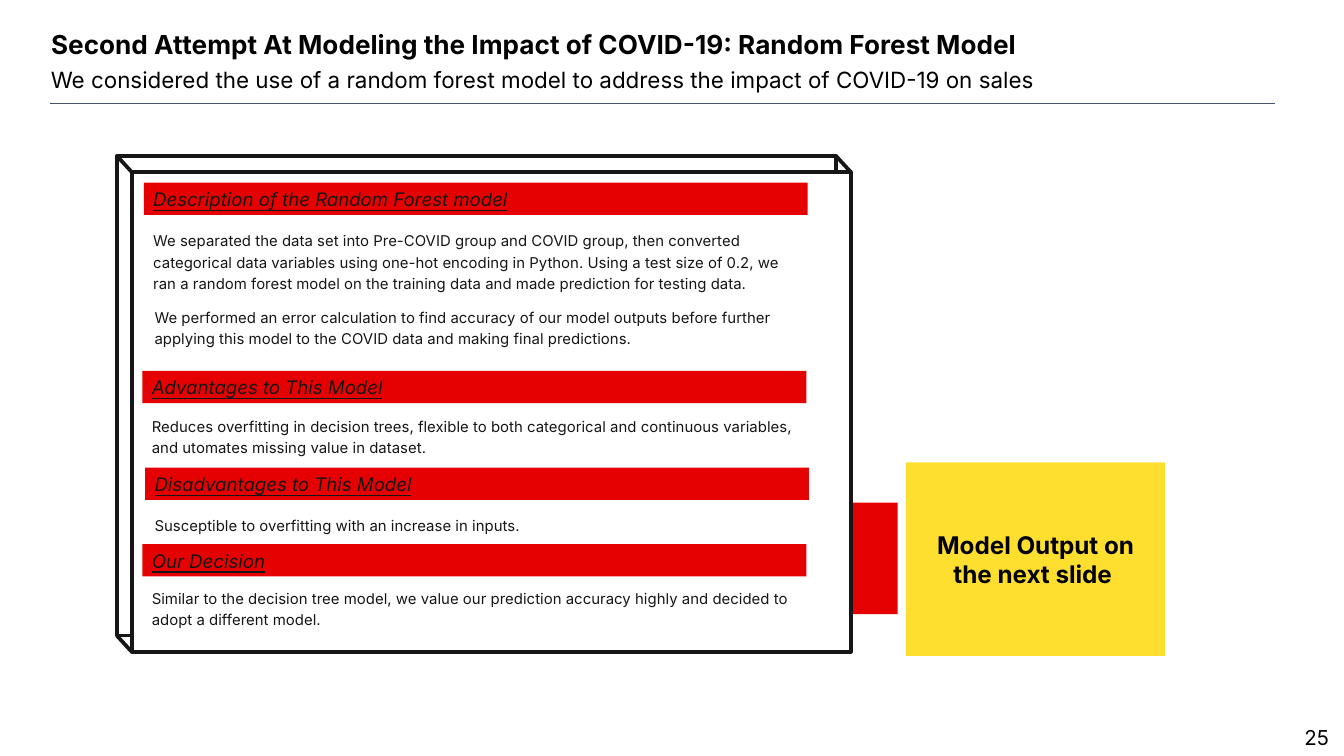
import dataclasses

import pptx
import pptx.dml.color
import pptx.enum.shapes
import pptx.enum.text
import pptx.oxml
import pptx.util

Inches = pptx.util.Inches
Pt = pptx.util.Pt
Shape = pptx.enum.shapes.MSO_SHAPE
Align = pptx.enum.text.PP_ALIGN
Anchor = pptx.enum.text.MSO_ANCHOR


@dataclasses.dataclass(frozen=True)
class Theme:
    font: str = "Inter"
    black: str = "000000"
    ink: str = "171616"
    white: str = "FFFFFF"
    red: str = "E50102"
    yellow: str = "FEDF30"
    rule: str = "44546A"
    title_size: float = 14
    callout_size: float = 13
    subtitle_size: float = 12
    number_size: float = 11
    heading_size: float = 10
    body_size: float = 8
    panel_line: float = 2
    rule_line: float = 0.75


THEME = Theme()
PAGE_WIDTH = 10
PAGE_HEIGHT = PAGE_WIDTH * 9 / 16
WIDE_INSETS = (0.1, 0.1)
SLIM_INSETS = (0.07, 0.04)
COLUMN_WIDTH = 4.94
BAR_HEIGHT = 0.24
PANEL_LEFT, PANEL_TOP = 0.87, 1.16
PANEL_WIDTH, PANEL_HEIGHT = 5.35, 3.57
DEPTH_X, DEPTH_Y = 0.11, 0.12

SECTIONS = [
    (1.07, 1.36, "Description of the Random Forest model", [
        (1.07, 1.66, 0.53, "We separated the data set into Pre-COVID group and COVID group, then converted "
         "categorical data variables using one-hot encoding in Python. Using a test size of 0.2, we "
         "ran a random forest model on the training data and made prediction for testing data."),
        (1.08, 2.23, 0.37, "We performed an error calculation to find accuracy of our model outputs before "
         "further applying this model to the COVID data and making final predictions."),
    ]),
    (1.06, 2.76, "Advantages to This Model", [
        (1.06, 3.04, 0.37, "Reduces overfitting in decision trees, flexible to both categorical and "
         "continuous variables, and utomates missing value in dataset."),
    ]),
    (1.08, 3.48, "Disadvantages to This Model", [
        (1.08, 3.78, 0.21, "Susceptible to overfitting with an increase in inputs."),
    ]),
    (1.06, 4.05, "Our Decision", [
        (1.06, 4.32, 0.37, "Similar to the decision tree model, we value our prediction accuracy highly "
         "and decided to adopt a different model."),
    ]),
]


def rgb(color):
    return pptx.dml.color.RGBColor.from_string(color)


def write(box, text, size, color, insets=SLIM_INSETS, align=Align.LEFT, anchor=Anchor.TOP,
          spacing=None, bold=False, italic=False, underline=False):
    frame = box.text_frame
    frame.word_wrap = True
    frame.auto_size = pptx.enum.text.MSO_AUTO_SIZE.NONE
    frame.vertical_anchor = anchor
    frame.margin_left = frame.margin_right = Inches(insets[0])
    frame.margin_top = frame.margin_bottom = Inches(insets[1])
    frame.text = text
    para = frame.paragraphs[0]
    para.alignment = align
    para.line_spacing = spacing
    font = para.font
    font.name, font.size = THEME.font, Pt(size)
    font.bold, font.italic, font.underline = bold, italic, underline
    font.color.rgb = rgb(color)


def add_text(page, area, text, size, color, **style):
    box = page.shapes.add_textbox(*map(Inches, area))
    write(box, text, size, color, **style)


def add_block(page, area, fill, line=None, kind=Shape.RECTANGLE):
    block = page.shapes.add_shape(kind, *map(Inches, area))
    block.shadow.inherit = False
    block.fill.solid()
    block.fill.fore_color.rgb = rgb(fill)
    if line:
        block.line.color.rgb = rgb(line)
        block.line.width = Pt(THEME.panel_line)
    else:
        block.line.fill.background()
    return block


def add_line(page, start, end, color, width):
    line = page.shapes.add_connector(pptx.enum.shapes.MSO_CONNECTOR.STRAIGHT,
                                     *map(Inches, (*start, *end)))
    line.line.color.rgb = rgb(color)
    line.line.width = Pt(width)
    properties = line.element.spPr
    properties.append(pptx.oxml.parse_xml(
        '<a:effectLst xmlns:a="http://schemas.openxmlformats.org/drawingml/2006/main"/>'))


def add_header(page):
    title = page.shapes.title
    title.left, title.top, title.width, title.height = map(Inches, (0.28, 0.11, 9.15, 0.44))
    write(title, "Second Attempt At Modeling the Impact of COVID-19: Random Forest Model",
          THEME.title_size, THEME.black, insets=WIDE_INSETS, bold=True)
    add_text(page, (0.28, 0.39, 9.22, 0.4),
             "We considered the use of a random forest model to address the impact of COVID-19 on sales",
             THEME.subtitle_size, THEME.black, insets=WIDE_INSETS)
    add_line(page, (0.37, 0.77), (9.49, 0.77), THEME.rule, THEME.rule_line)


def add_panel(page):
    right, bottom = PANEL_LEFT + PANEL_WIDTH, PANEL_TOP + PANEL_HEIGHT
    corner = add_block(page, (right, PANEL_TOP, DEPTH_X, DEPTH_Y), THEME.white,
                       kind=Shape.ISOSCELES_TRIANGLE)
    corner.adjustments[0] = 0
    for step in (0, 1):
        add_block(page, (PANEL_LEFT + step * DEPTH_X, PANEL_TOP + step * DEPTH_Y,
                         PANEL_WIDTH, PANEL_HEIGHT), THEME.white, THEME.ink)
    for x, y in ((right, PANEL_TOP), (PANEL_LEFT, PANEL_TOP), (PANEL_LEFT, bottom)):
        add_line(page, (x, y), (x + DEPTH_X, y + DEPTH_Y), THEME.ink, THEME.panel_line)


def add_section(page, left, top, heading, notes):
    bar = add_block(page, (left, top, COLUMN_WIDTH, BAR_HEIGHT), THEME.red)
    write(bar, heading, THEME.heading_size, THEME.ink, italic=True, underline=True)
    for note_left, note_top, height, text in notes:
        add_text(page, (note_left, note_top, COLUMN_WIDTH, height), text,
                 THEME.body_size, THEME.ink, spacing=1.2)


def add_callout(page):
    callout = add_block(page, (6.74, 3.44, 1.93, 1.44), THEME.yellow)
    write(callout, "Model Output on the next slide ", THEME.callout_size, THEME.black,
          insets=WIDE_INSETS, align=Align.CENTER, anchor=Anchor.MIDDLE, bold=True)


def main():
    deck = pptx.Presentation()
    deck.slide_width, deck.slide_height = Inches(PAGE_WIDTH), Inches(PAGE_HEIGHT)
    page = deck.slides.add_slide(deck.slide_layouts.get_by_name("Title Only"))
    add_header(page)
    add_block(page, (6.33, 3.74, 0.35, 0.83), THEME.red)
    add_panel(page)
    for section in SECTIONS:
        add_section(page, *section)
    add_callout(page)
    add_text(page, (9.36, 5.19, 0.6, 0.43), "25", THEME.number_size, THEME.black,
             align=Align.RIGHT, anchor=Anchor.BOTTOM)
    deck.save("out.pptx")


if __name__ == "__main__":
    main()
